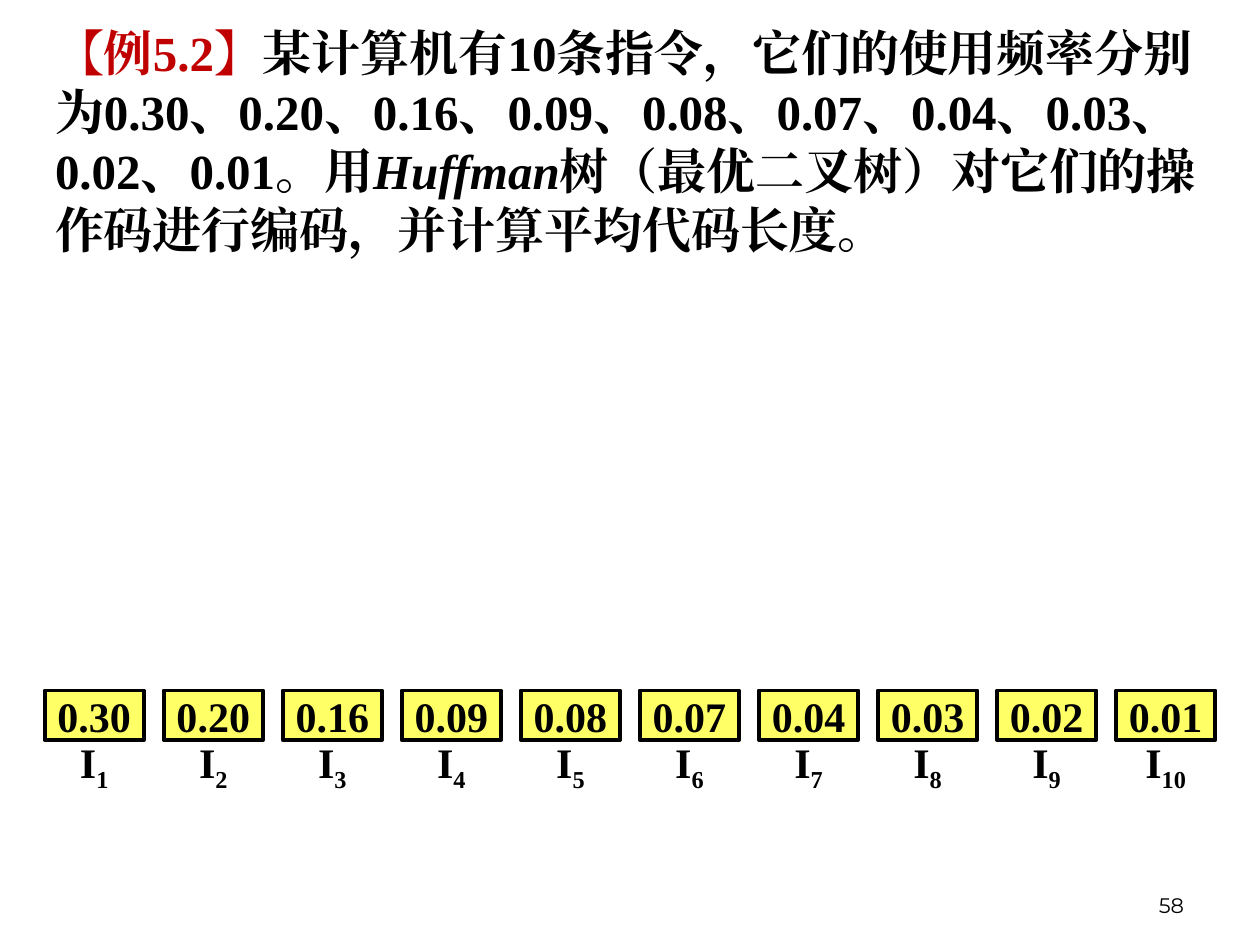
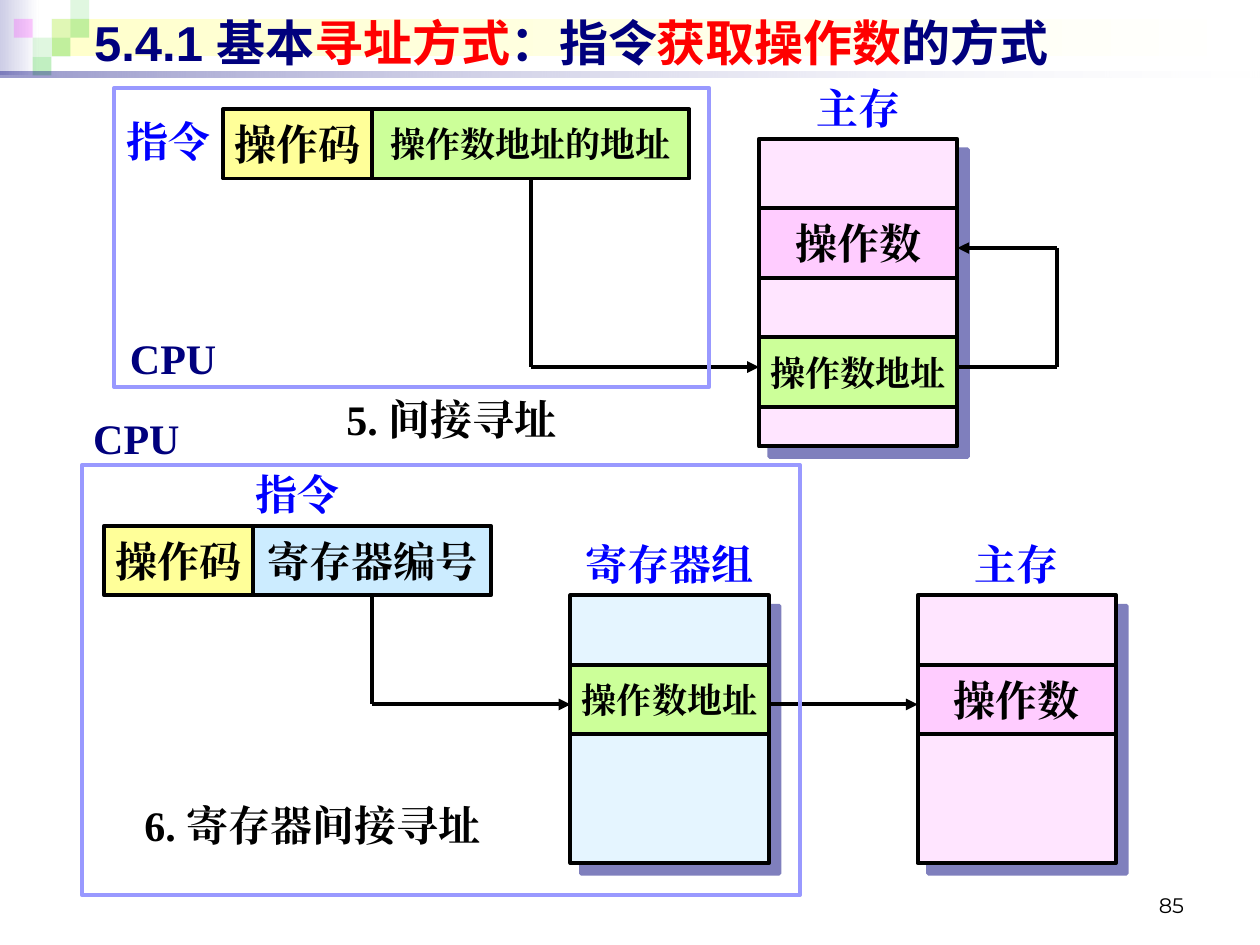
from typing import NamedTuple

from lxml.etree import SubElement
from pptx import Presentation
from pptx.dml.color import RGBColor
from pptx.enum.shapes import MSO_CONNECTOR as Link, MSO_SHAPE as Kind
from pptx.enum.text import MSO_ANCHOR as Anchor, PP_ALIGN as Align
from pptx.oxml.ns import qn
from pptx.util import Mm, Pt

UNIT = Mm(2)  # one grid column or row
WIDE, HIGH = 127, 95.25
LABEL = 6.35  # rows in a label
CELL = 7  # rows in a field
SERIF = "Times New Roman"

HUES = {
    "ink": "000000", "navy": "00007D", "blue": "0000FF", "red": "FF0000",
    "brick": "C00000", "white": "FFFFFF", "mist": "CDCDE6", "cream": "FFFFCC",
    "leaf": "33CC33", "plum": "FF00FF", "frame": "9999FF", "lemon": "FFFF66",
    "code": "FFFF99", "addr": "CCFF99", "reg": "CCECFF", "data": "FFCCFF",
    "main": "FFE5FF", "bank": "E5F5FF",
}


class Box(NamedTuple):
    """Left, top, width and height in grid units."""
    x: float
    y: float
    w: float
    h: float


class Run(NamedTuple):
    text: str
    hue: str = "ink"
    font: str = SERIF
    bold: bool = True
    slant: bool = False
    base: int = 0


class Label(NamedTuple):
    text: str
    box: Box
    hue: str = "blue"
    align: Align = Align.CENTER


class Field(NamedTuple):
    text: str
    box: Box
    fill: str
    size: int = 24


class Tile(NamedTuple):
    col: int
    row: int
    hue: str
    alpha: int


def rgb(hue: str) -> RGBColor:
    return RGBColor.from_string(HUES[hue])


def span(box: Box) -> list:
    return [round(v * UNIT) for v in box]


def fade(clr, share: int) -> None:
    """Give a colour element an opacity in percent."""
    SubElement(clr, qn("a:alpha"), val=str(share * 1000))


def write(shape, runs, size=24, align=Align.CENTER, anchor=Anchor.MIDDLE,
          wrap=False) -> None:
    frame = shape.text_frame
    frame.word_wrap, frame.vertical_anchor = wrap, anchor
    par = frame.paragraphs[0]
    par.alignment = align
    for item in runs:
        run = par.add_run()
        run.text = item.text
        font = run.font
        font.size, font.name = Pt(size), item.font
        font.bold, font.italic = item.bold, item.slant
        font.color.rgb = rgb(item.hue)
        props = run._r.get_or_add_rPr()
        SubElement(props, qn("a:ea"), typeface=item.font)
        if item.base:
            props.set("baseline", str(item.base * 1000))


def note(slide, box: Box, runs, **form) -> None:
    """Add a text box that is wrapped and starts at the top by default."""
    write(slide.shapes.add_textbox(*span(box)), runs,
          **{"wrap": True, "anchor": Anchor.TOP, **form})


def rect(slide, box: Box, fill: str = "", line: str = ""):
    shape = slide.shapes.add_shape(Kind.RECTANGLE, *span(box))
    shape.shadow.inherit = False
    if fill:
        shape.fill.solid()
        shape.fill.fore_color.rgb = rgb(fill)
    else:
        shape.fill.background()
    if line:
        shape.line.color.rgb = rgb(line)
        shape.line.width = Pt(2.25)
    else:
        shape.line.fill.background()
    return shape


def blend(slide, box: Box, hues, alphas=()) -> None:
    """Add a band that runs from one colour to another, left to right."""
    shape = rect(slide, box)
    shape.fill.gradient()
    shape.fill.gradient_angle = 0
    for stop, hue in zip(shape.fill.gradient_stops, hues):
        stop.color.rgb = rgb(hue)
    for clr, share in zip(shape._element.spPr.iter(qn("a:srgbClr")), alphas):
        fade(clr, share)


def cell(slide, field: Field):
    shape = rect(slide, field.box, field.fill, "ink")
    write(shape, [Run(field.text)], size=field.size)
    return shape


def store(slide, box: Box, fill: str) -> None:
    """Add a memory block with a soft shadow."""
    shape = rect(slide, box, fill, "ink")
    cast = SubElement(shape._element.spPr.find(qn("a:effectLst")), qn("a:outerShdw"),
                      dist=str(Pt(12 * 0.71)), dir="2700000",
                      algn="ctr", rotWithShape="0")
    fade(SubElement(cast, qn("a:srgbClr"), val=HUES["navy"]), 50)


def route(slide, points, head=True, start=None) -> None:
    """Join points by straight lines; start is a field left from its bottom."""
    legs = list(zip(points, points[1:]))
    for i, (a, b) in enumerate(legs):
        line = slide.shapes.add_connector(
            Link.STRAIGHT, *(round(v * UNIT) for v in (*a, *b)))
        if start is not None and i == 0:
            line.begin_connect(start, 2)
        line.line.color.rgb = rgb("ink")
        line.line.width = Pt(2.25)
        if head and i == len(legs) - 1:
            SubElement(line.line._get_or_add_ln(), qn("a:tailEnd"), type="triangle")
        SubElement(line._element.spPr, qn("a:effectLst"))


def page(deck, number: int):
    slide = deck.slides.add_slide(deck.slide_layouts[6])
    note(slide, Box(91, 86.75, 29.6, LABEL),
         [Run(str(number), font="Montserrat", bold=False)],
         size=12, align=Align.RIGHT, anchor=Anchor.BOTTOM)
    return slide


def header(slide, runs) -> None:
    side, left = 1.9, 1.4
    blend(slide, Box(0, 0, 3.9, 4 * side), ("mist", "white"))
    blend(slide, Box(5.2, side, 121.3, 2 * side), ("cream", "white"))
    for tile in (Tile(2, 1, "leaf", 15), Tile(3, 0, "leaf", 15),
                 Tile(3, 1, "leaf", 30), Tile(1, 2, "leaf", 15),
                 Tile(0, 1, "plum", 20), Tile(2, 2, "leaf", 30),
                 Tile(1, 3, "leaf", 30)):
        shape = rect(slide, Box(left + tile.col * side, tile.row * side, side, side),
                     tile.hue)
        fade(shape._element.spPr.find(".//" + qn("a:srgbClr")), tile.alpha)
    blend(slide, Box(0, 7.2, WIDE, 0.65), ("navy", "white"), (40, 10))
    note(slide, Box(8.25, 0.6, 117.2, 7.25), runs,
         size=28, align=Align.LEFT, anchor=Anchor.MIDDLE)


def huffman(deck) -> None:
    slide = page(deck, 58)
    rates = "0.30 0.20 0.16 0.09 0.08 0.07 0.04 0.03 0.02 0.01".split()
    note(slide, Box(4.3, 1.65, 119.1, 26), [
        Run("【例5.2】", "brick"),
        Run(f"某计算机有10条指令，它们的使用频率分别为{'、'.join(rates)}。用"),
        Run("Huffman", slant=True),
        Run("树（最优二叉树）对它们的操作码进行编码，并计算平均代码长度。"),
    ], size=28, align=Align.LEFT)
    for i, rate in enumerate(rates):
        box = Box(4.5 + 12 * i, 69.6, 10, 5)
        cell(slide, Field(rate, box, "lemon"))
        note(slide, box._replace(y=box.y + box.h),
             [Run("I"), Run(str(i + 1), base=-25)],
             wrap=False, anchor=Anchor.MIDDLE)


def modes(deck) -> None:
    slide = page(deck, 85)
    title = (("5.4.1 基本", "navy", "Arial"), ("寻址方式", "red", "Arial"),
             ("：", "navy", "Arial"), ("指令", "navy", "Noto Sans CJK SC"),
             ("获取操作数", "red", "Noto Sans CJK SC"),
             ("的方式", "navy", "Noto Sans CJK SC"))
    header(slide, [Run(*part) for part in title])

    for box, fill in ((Box(76.5, 14, 20, 31), "main"),
                      (Box(57.5, 60, 20, 27), "bank"),
                      (Box(92.5, 60, 20, 27), "main")):
        store(slide, box, fill)

    for field in (Field("操作码", Box(22.5, 11, 15, CELL), "code"),
                  Field("操作数", Box(76.5, 21, 20, CELL), "data"),
                  Field("操作数地址", Box(76.5, 34, 20, CELL), "addr", 20),
                  Field("操作码", Box(10.5, 53, 15, CELL), "code"),
                  Field("操作数地址", Box(57.5, 67, 20, CELL), "addr", 20),
                  Field("操作数", Box(92.5, 67, 20, CELL), "data")):
        cell(slide, field)
    twice = cell(slide, Field("操作数地址的地址", Box(37.5, 11, 32, CELL), "addr", 20))
    reg = cell(slide, Field("寄存器编号", Box(25.5, 53, 24, CELL), "reg"))

    route(slide, [(53.5, 18), (53.5, 37), (76.5, 37)], start=twice)
    route(slide, [(96.5, 37), (106.5, 37), (106.5, 25), (96.5, 25)])
    route(slide, [(37.5, 60), (37.5, 71), (57.5, 71)], start=reg)
    route(slide, [(77.5, 71), (92.5, 71)])

    for box in (Box(8.25, 46.9, 72.4, 43.3), Box(11.5, 8.9, 60, 30.1)):
        rect(slide, box, line="frame")

    for label in (Label("指令", Box(11.5, 11, 17, LABEL), align=Align.LEFT),
                  Label("主存", Box(76.5, 7.65, 20, LABEL)),
                  Label("5. 间接寻址", Box(27.5, 39, 36, LABEL), "ink"),
                  Label("指令", Box(10.5, 46.65, 39, LABEL)),
                  Label("寄存器组", Box(57.5, 53.65, 20, LABEL)),
                  Label("主存", Box(92.5, 53.65, 20, LABEL)),
                  Label("6. 寄存器间接寻址", Box(10.5, 80, 42, LABEL), "ink"),
                  Label("CPU", Box(8, 41, 11.5, LABEL), "navy"),
                  Label("CPU", Box(11.7, 32.9, 11.5, LABEL), "navy")):
        note(slide, label.box, [Run(label.text, label.hue)], align=label.align)


def main() -> None:
    deck = Presentation()
    deck.slide_width, deck.slide_height = round(WIDE * UNIT), round(HIGH * UNIT)
    huffman(deck)
    modes(deck)
    deck.save("out.pptx")


if __name__ == "__main__":
    main()
